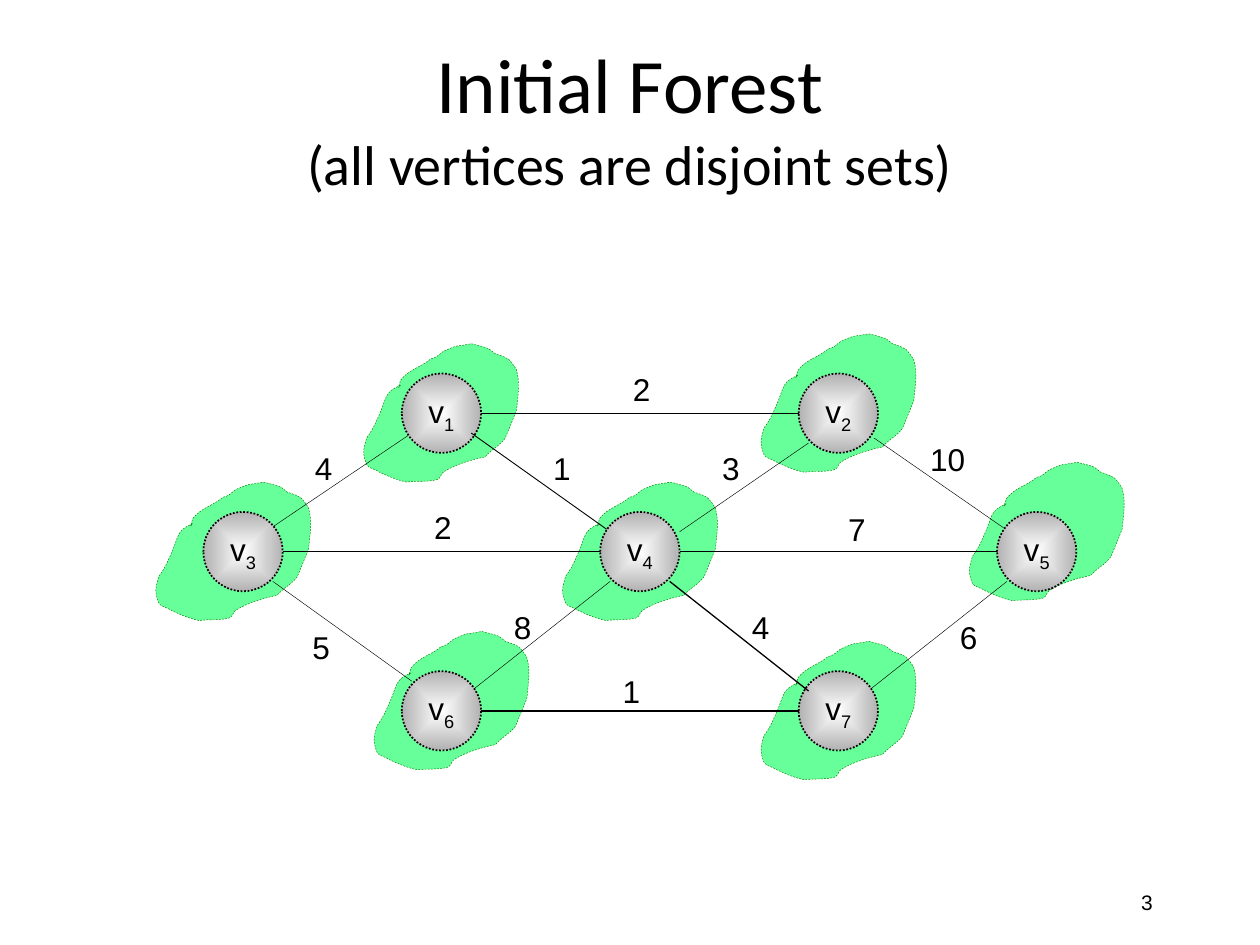
from collections import namedtuple
from dataclasses import dataclass

from lxml.etree import SubElement
from pptx import Presentation
from pptx.dml.color import RGBColor
from pptx.enum.dml import MSO_LINE
from pptx.enum.shapes import MSO_CONNECTOR, MSO_SHAPE
from pptx.enum.text import MSO_ANCHOR, MSO_AUTO_SIZE, PP_ALIGN
from pptx.oxml.ns import qn
from pptx.util import Cm, Pt

Box = namedtuple("Box", "x y w h")  # centimetres
Edge = namedtuple("Edge", "a a_off b b_off width weight label")


@dataclass(frozen=True)
class Theme:
    text: str = "000000"
    line: str = "000000"
    set_fill: str = "66FF99"
    set_line: str = "008000"
    node_center: str = "FFFFFF"
    node_rim: str = "B2B2B2"
    title_font: str = "Calibri"
    body_font: str = "Arial"
    title: int = 44
    subtitle: int = 32
    label: int = 18
    number: int = 12


THEME = Theme()
NODE = 1.6  # node diameter
COLUMN = 4  # distance between columns
ROWS = (0, 2.79, 6)

# Vertex: column, row, offset of its set outline from the node
VERTICES = {
    1: (1, 0, (-0.81, -0.6)),
    2: (3, 0, (-0.8, -0.8)),
    3: (0, 1, (-1, -0.6)),
    4: (2, 1, (-0.8, -0.6)),
    5: (4, 1, (-0.6, -1)),
    6: (1, 2, (-0.6, -0.8)),
    7: (3, 2, (-0.8, -0.6)),
}

# Edge ends are offsets from the node centres; labels are offsets in the graph box
LEFT, RIGHT = (-0.8, 0), (0.8, 0)
EDGES = [
    Edge(1, RIGHT, 2, LEFT, 0.25, "2", (8.41, -0.2)),
    Edge(2, (-0.6, 0.6), 4, (0.8, -0.4), 0.25, "3", (10.21, 1.4)),
    Edge(2, (0.72, 0.5), 5, (-0.67, -0.48), 0.25, "10", (14.4, 1.21)),
    Edge(4, LEFT, 3, RIGHT, 0.25, "2", (4.4, 2.59)),
    Edge(5, LEFT, 4, RIGHT, 0.25, "7", (12.75, 2.62)),
    Edge(1, (-0.6, 0.4), 3, (0.6, -0.5), 0.25, "4", (2, 1.4)),
    Edge(4, (-0.6, 0.6), 6, (0.6, -0.4), 0.25, "8", (6.01, 4.6)),
    Edge(3, (0.6, 0.6), 6, (-0.6, -0.6), 0.25, "5", (1.95, 5)),
    Edge(7, LEFT, 6, RIGHT, 0.75, "1", (8.2, 5.89)),
    Edge(5, (-0.6, 0.6), 7, (0.6, -0.4), 0.25, "6", (15, 4.8)),
]
TOP_EDGES = [
    Edge(1, (0.6, 0.4), 4, (-0.6, -0.4), 0.5, "1", (6.8, 1.4)),
    Edge(4, (0.6, 0.6), 7, (-0.6, -0.4), 0.75, "4", (10.81, 4.6)),
]

# Set outline: Bezier curves (two controls, one end) on a 126 x 110 grid
OUTLINE_GRID = (126, 110)
OUTLINE_START = (31, 33)
OUTLINE_CURVES = [
    (17, 39, 21, 42, 12, 61), (10, 66, 7, 71, 4, 75), (2, 83, 0, 86, 4, 96),
    (5, 99, 12, 100, 14, 102), (23, 106, 27, 108, 36, 110),
    (44, 109, 52, 110, 60, 108), (63, 107, 63, 103, 65, 102),
    (74, 96, 88, 92, 98, 90), (103, 84, 110, 81, 114, 75),
    (117, 68, 123, 53, 123, 53), (124, 41, 126, 32, 123, 21),
    (123, 20, 117, 12, 116, 12), (113, 10, 106, 8, 106, 8),
    (104, 7, 103, 5, 101, 4), (96, 2, 87, 0, 87, 0), (72, 3, 79, 0, 65, 6),
    (63, 7, 62, 9, 60, 10), (58, 11, 57, 12, 55, 12),
    (47, 19, 38, 20, 31, 29), (29, 36, 28, 36, 31, 33),
]


def rgb(value):
    return RGBColor.from_string(value)


def lengths(box):
    return [Cm(v) for v in box]


def add_run(p, text, size, font=THEME.body_font, baseline=None):
    r = p.add_run()
    r.text = text
    r.font.size = Pt(size)
    r.font.name = font
    r.font.color.rgb = rgb(THEME.text)
    if baseline:
        r.font._element.set("baseline", str(baseline * 1000))


def add_text(slide, box, text, size, align=PP_ALIGN.LEFT, anchor=MSO_ANCHOR.TOP, wrap=False):
    tf = slide.shapes.add_textbox(*lengths(box)).text_frame
    tf.word_wrap = wrap
    tf.vertical_anchor = anchor
    p = tf.paragraphs[0]
    p.alignment = align
    add_run(p, text, size)


def set_line(line, color, width, dash=None):
    line.color.rgb = rgb(color)
    line.width = Pt(width)
    if dash:
        line.dash_style = dash


def curve_segments(sp):
    """Join every three straight segments into one Bezier curve."""
    segments = list(sp._element.iter(qn("a:lnTo")))
    for first, second, end in zip(*[iter(segments)] * 3):
        curve = first.makeelement(qn("a:cubicBezTo"))
        first.addprevious(curve)
        for segment in (first, second, end):
            curve.append(segment[0])
            segment.getparent().remove(segment)


def add_set(slide, box):
    grid_w, grid_h = OUTLINE_GRID
    grid = [OUTLINE_START] + [c[i:i + 2] for c in OUTLINE_CURVES for i in (0, 2, 4)]
    points = [(Cm(box.x + x * box.w / grid_w), Cm(box.y + y * box.h / grid_h))
              for x, y in grid]
    builder = slide.shapes.build_freeform(*points[0])
    builder.add_line_segments(points[1:], close=False)
    sp = builder.convert_to_shape()
    curve_segments(sp)
    SubElement(next(sp._element.iter(qn("a:path"))), qn("a:close"))
    sp.shadow.inherit = False
    sp.fill.solid()
    sp.fill.fore_color.rgb = rgb(THEME.set_fill)
    set_line(sp.line, THEME.set_line, 0.25, MSO_LINE.DASH)


def add_node(slide, box, number):
    sp = slide.shapes.add_shape(MSO_SHAPE.OVAL, *lengths(box))
    sp.shadow.inherit = False
    sp.fill.gradient()
    for stop, color in zip(sp.fill.gradient_stops, (THEME.node_center, THEME.node_rim)):
        stop.color.rgb = rgb(color)
    # Gradient runs from the centre outwards
    grad = sp._element.spPr.find(qn("a:gradFill"))
    grad.remove(grad.find(qn("a:lin")))
    shade = SubElement(grad, qn("a:path"), path="rect")
    SubElement(shade, qn("a:fillToRect"), dict.fromkeys("ltrb", "50000"))
    set_line(sp.line, THEME.line, 1, MSO_LINE.ROUND_DOT)
    tf = sp.text_frame
    tf.word_wrap = False
    tf.vertical_anchor = MSO_ANCHOR.MIDDLE
    p = tf.paragraphs[0]
    p.alignment = PP_ALIGN.CENTER
    add_run(p, "v", THEME.label)
    add_run(p, str(number), THEME.label, baseline=-25)


def add_edge(slide, boxes, edge):
    ends = [boxes[v][axis] + NODE / 2 + off[axis]
            for v, off in ((edge.a, edge.a_off), (edge.b, edge.b_off)) for axis in (0, 1)]
    line = slide.shapes.add_connector(MSO_CONNECTOR.STRAIGHT, *lengths(ends))
    set_line(line.line, THEME.line, edge.width)
    SubElement(line._element.spPr, qn("a:effectLst"))


def add_title(slide, box):
    title = slide.shapes.title
    title.left, title.top, title.width, title.height = lengths(box)
    tf = title.text_frame
    tf.auto_size = MSO_AUTO_SIZE.NONE
    tf.vertical_anchor = MSO_ANCHOR.MIDDLE
    p = tf.paragraphs[0]
    p.alignment = PP_ALIGN.CENTER
    add_run(p, "Initial Forest", THEME.title, THEME.title_font)
    p.add_line_break()
    add_run(p, "(all vertices are disjoint sets)", THEME.subtitle, THEME.title_font)


def add_graph(slide, x, y):
    boxes = {n: Box(x + col * COLUMN, y + ROWS[row], NODE, NODE)
             for n, (col, row, _) in VERTICES.items()}
    # Disjoint sets behind the graph
    for n in (6, 4, 2, 5, 7, 3, 1):
        dx, dy = VERTICES[n][2]
        add_set(slide, Box(boxes[n].x + dx, boxes[n].y + dy, 3.2, 2.79))
    for edge in EDGES:
        add_edge(slide, boxes, edge)
    for n in (1, 2, 5, 3, 6, 7):
        add_node(slide, boxes[n], n)
    # Weights
    for edge in EDGES + TOP_EDGES:
        width = 0.5 + 0.36 * len(edge.weight)
        add_text(slide, Box(x + edge.label[0], y + edge.label[1], width, 1.02),
                 edge.weight, THEME.label)
    # Edges that run over their outer nodes, and the hub they meet in
    for edge in TOP_EDGES:
        add_edge(slide, boxes, edge)
    add_node(slide, boxes[4], 4)


def main():
    prs = Presentation()
    prs.slide_width, prs.slide_height = Cm(25.4), Cm(19.05)
    slide = prs.slides.add_slide(prs.slide_layouts[5])
    add_title(slide, Box(1.27, 0.76, 22.86, 3.18))
    add_text(slide, Box(18.21, 17.74, 5.28, 0.89), "3", THEME.number,
             align=PP_ALIGN.RIGHT, anchor=MSO_ANCHOR.MIDDLE, wrap=True)
    add_graph(slide, 4.1, 7.53)
    prs.save("out.pptx")


if __name__ == "__main__":
    main()
